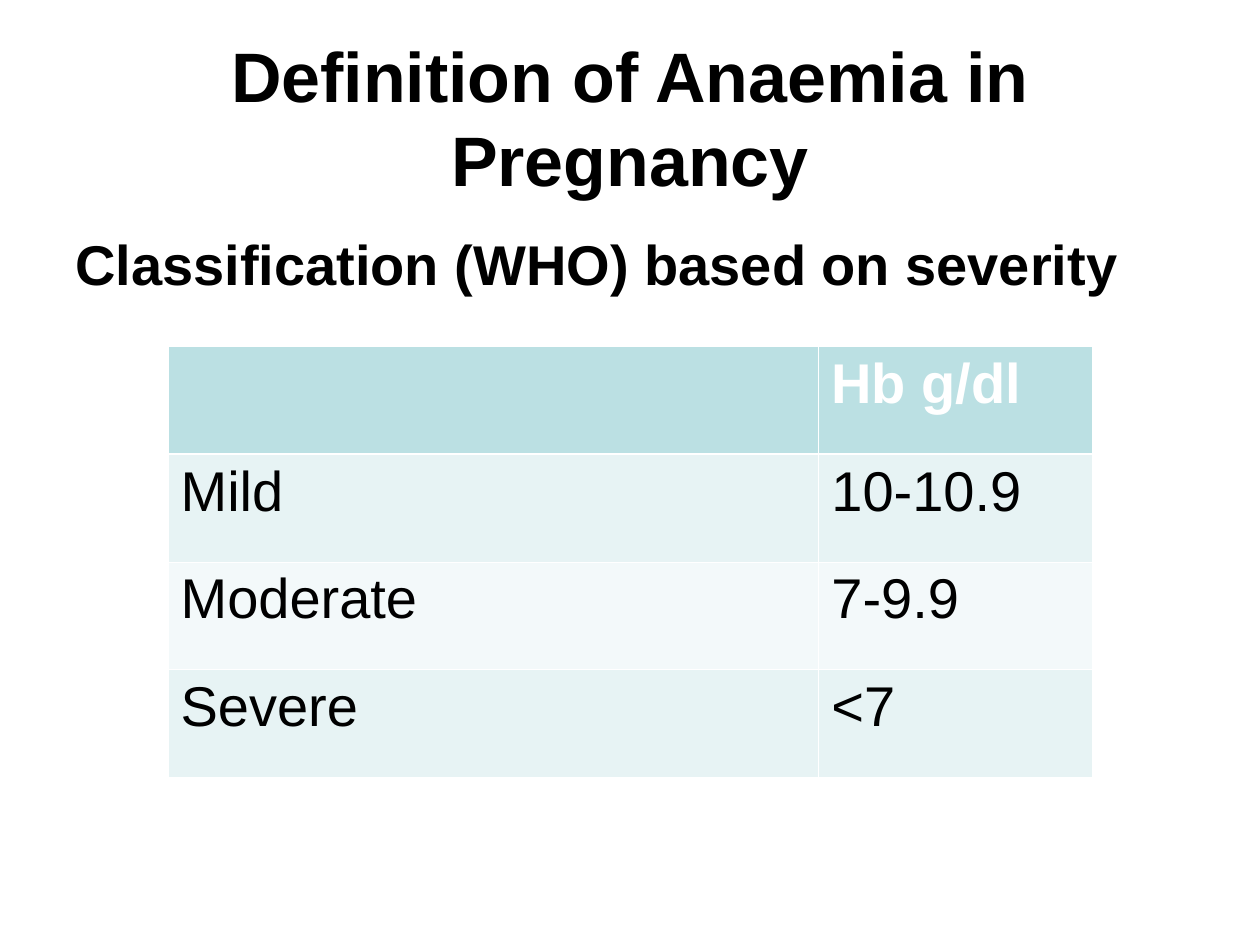
from dataclasses import dataclass

from lxml.etree import SubElement
from pptx import Presentation
from pptx.dml.color import RGBColor
from pptx.enum.text import MSO_ANCHOR, PP_ALIGN
from pptx.oxml.ns import qn
from pptx.util import Inches, Pt


@dataclass(frozen=True)
class Theme:
    font: str = "Arial"
    title_size: int = 40
    text_size: int = 32
    title_leading: int = 48
    text_leading: int = 40
    ink: str = "000000"
    paper: str = "FFFFFF"
    header: str = "BBE0E3"
    bands: tuple = ("E7F3F4", "F3F9FA")
    thin: float = 0.45
    thick: float = 1.47


THEME = Theme()
WIDTH, HEIGHT = Inches(10), Inches(7.5)
SEVERITY_ROWS = [
    ("", "Hb g/dl"),
    ("Mild", "10-10.9"),
    ("Moderate", "7-9.9"),
    ("Severe", "<7"),
]
COLUMN_SHARES = (5.17 / 7.34, 2.17 / 7.34)


def share_box(left, top, width, height):
    """Turn shares of the slide's size into lengths."""
    return (int(WIDTH * left), int(HEIGHT * top),
            int(WIDTH * width), int(HEIGHT * height))


def format_font(font, size, color, bold):
    font.name = THEME.font
    font.size = Pt(size)
    font.bold = bold
    font.color.rgb = RGBColor.from_string(color)


def fill_heading(shape, text, size, leading, align, anchor):
    frame = shape.text_frame
    frame.word_wrap = True
    frame.vertical_anchor = anchor
    frame.text = text
    paragraph = frame.paragraphs[0]
    paragraph.alignment = align
    paragraph.line_spacing = Pt(leading)
    format_font(paragraph.runs[0].font, size, THEME.ink, True)


def place_title(slide, box):
    title = slide.shapes.title
    title.left, title.top, title.width, title.height = box
    fill_heading(title, "Definition of Anaemia in Pregnancy", THEME.title_size,
                 THEME.title_leading, PP_ALIGN.CENTER, MSO_ANCHOR.MIDDLE)


def place_subtitle(slide, box):
    fill_heading(slide.shapes.add_textbox(*box),
                 "Classification (WHO) based on severity", THEME.text_size,
                 THEME.text_leading, PP_ALIGN.LEFT, MSO_ANCHOR.TOP)


def set_borders(cell, top, bottom):
    properties = cell._tc.get_or_add_tcPr()
    widths = {"a:lnL": THEME.thin, "a:lnR": THEME.thin,
              "a:lnT": top, "a:lnB": bottom}
    for position, (tag, width) in enumerate(widths.items()):
        line = SubElement(properties, qn(tag), w=str(Pt(width)))
        fill = SubElement(line, qn("a:solidFill"))
        SubElement(fill, qn("a:srgbClr"), val=THEME.paper)
        properties.insert(position, line)


def place_severity_table(slide, box):
    table = slide.shapes.add_table(
        len(SEVERITY_ROWS), len(COLUMN_SHARES), *box).table
    for column, share in zip(table.columns, COLUMN_SHARES):
        column.width = int(box[2] * share)
    for row_index, values in enumerate(SEVERITY_ROWS):
        is_header = row_index == 0
        fill = THEME.header if is_header else THEME.bands[(row_index - 1) % 2]
        top = THEME.thick if row_index == 1 else THEME.thin
        bottom = THEME.thick if is_header else THEME.thin
        for column_index, value in enumerate(values):
            cell = table.cell(row_index, column_index)
            cell.fill.solid()
            cell.fill.fore_color.rgb = RGBColor.from_string(fill)
            set_borders(cell, top, bottom)
            cell.text = value
            format_font(cell.text_frame.paragraphs[0].font, THEME.text_size,
                        THEME.paper if is_header else THEME.ink, is_header)
            for run in cell.text_frame.paragraphs[0].runs:
                format_font(run.font, THEME.text_size,
                            THEME.paper if is_header else THEME.ink, is_header)


def main():
    presentation = Presentation()
    presentation.slide_width, presentation.slide_height = WIDTH, HEIGHT
    slide = presentation.slides.add_slide(presentation.slide_layouts[5])
    place_title(slide, share_box(0.05, 0.04, 0.9, 1 / 6))
    place_subtitle(slide, share_box(0.05, 1.75 / 7.5, 0.9, 0.66))
    place_severity_table(
        slide, share_box(4 / 30, 2.75 / 7.5, 22 / 30, 3.42 / 7.5))
    presentation.save("out.pptx")


if __name__ == "__main__":
    main()
